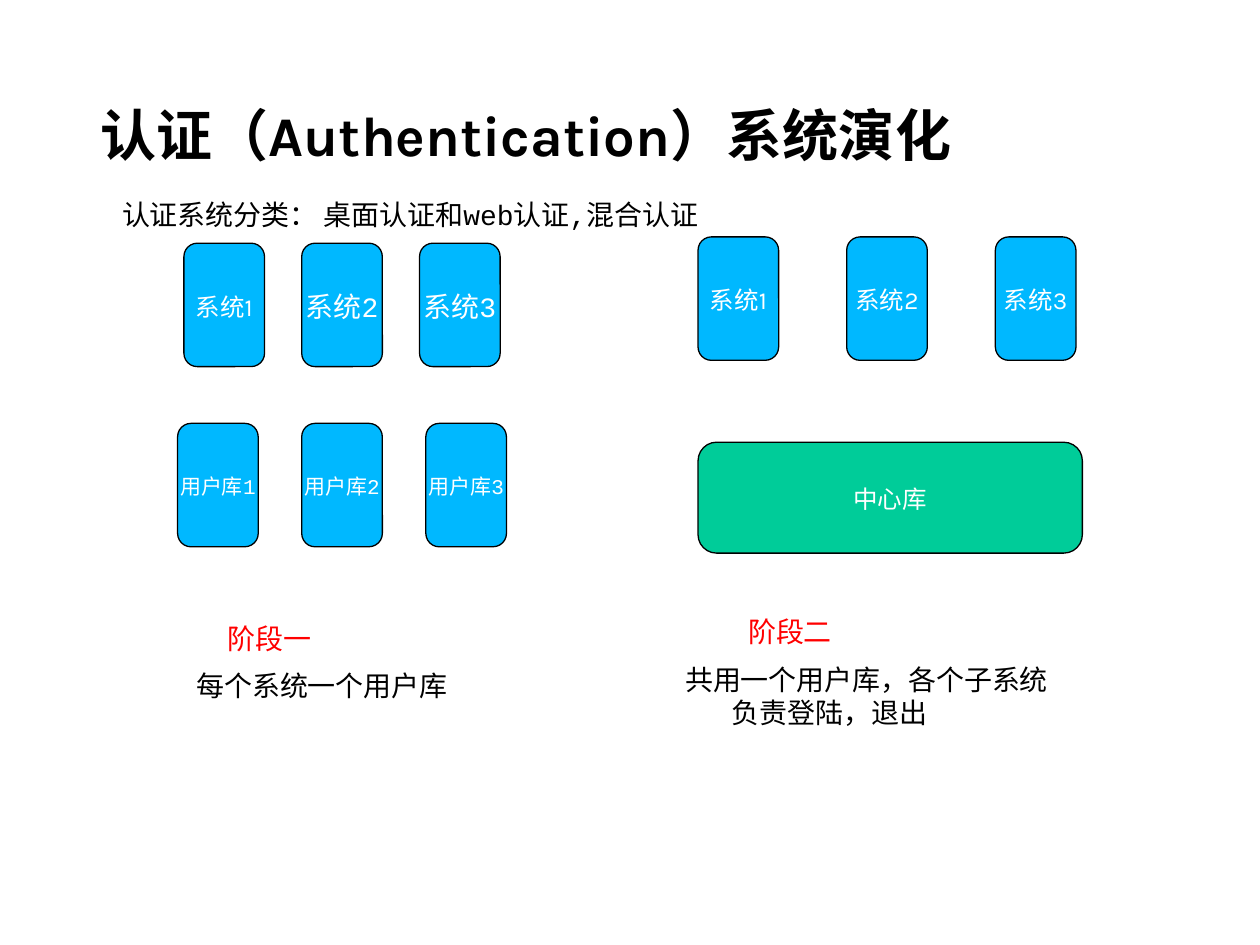
from pptx import Presentation
from pptx.dml.color import RGBColor
from pptx.enum.shapes import MSO_SHAPE
from pptx.enum.text import MSO_ANCHOR, PP_ALIGN
from pptx.util import Inches, Pt

ROUNDED = MSO_SHAPE.ROUNDED_RECTANGLE
MIDDLE = MSO_ANCHOR.MIDDLE
CENTER = PP_ALIGN.CENTER

BLACK, WHITE, RED, BLUE, GREEN = "000000", "FFFFFF", "FF0000", "00B8FF", "00CC99"
SANS, MONO = "Karla", "Courier New"
BOX_W, BOX_H = 0.64, 0.98

TITLE = "认证（Authentication）系统演化"
SUBTITLE = "认证系统分类： 桌面认证和web认证,混合认证"

# left of first box, top, step between boxes, label, (font, size) of each box
BOX_ROWS = [
    (1.41, 3.36, 0.985, "用户库", [(MONO, 12)] * 3),
    (1.46, 1.93, 0.935, "系统", [(SANS, 14), (MONO, 16), (MONO, 16)]),
    (5.54, 1.88, 1.18, "系统", [(SANS, 14)] * 3),
]
CENTRAL_STORE = ("中心库", 5.54, 3.51, 3.05, 0.88)

# left, top, width, height, heading, heading indent, description, hanging indent
STAGES = [
    (1.46, 4.88, 2.25, 0.75, "阶段一", 0.25, "每个系统一个用户库", 0),
    (5.34, 4.83, 3.17, 0.84, "阶段二", 0.5, "共用一个用户库，各个子系统负责登陆，退出", 0.37),
]


def rgb(value):
    return RGBColor.from_string(value)


def write(paragraph, text, font, size, color, bold=False):
    paragraph.text = text
    style = paragraph.runs[0].font
    style.name, style.size, style.bold = font, Pt(size), bold
    style.color.rgb = rgb(color)


def indent(paragraph, left, first_line=0):
    properties = paragraph._p.get_or_add_pPr()
    properties.set("marL", str(Inches(left)))
    properties.set("indent", str(Inches(first_line)))


def add_text_frame(slide, left, top, width, height):
    frame = slide.shapes.add_textbox(*map(Inches, (left, top, width, height))).text_frame
    frame.word_wrap = True
    return frame


def add_box(slide, label, left, top, width, height, fill, font, size):
    box = slide.shapes.add_shape(ROUNDED, *map(Inches, (left, top, width, height)))
    box.shadow.inherit = False
    box.fill.solid()
    box.fill.fore_color.rgb = rgb(fill)
    box.line.color.rgb = rgb(BLACK)
    box.line.width = Pt(0.75)
    frame = box.text_frame
    frame.word_wrap = False
    frame.vertical_anchor = MIDDLE
    caption = frame.paragraphs[0]
    write(caption, label, font, size, WHITE)
    caption.alignment = CENTER
    caption.line_spacing = 1.1


def add_stage(slide, left, top, width, height, name, name_indent, detail, hanging):
    frame = add_text_frame(slide, left, top, width, height)
    heading = frame.paragraphs[0]
    write(heading, name, MONO, 16, RED)
    indent(heading, name_indent)
    description = frame.add_paragraph()
    write(description, detail, MONO, 16, BLACK)
    indent(description, hanging, -hanging)
    description.space_before = Pt(8)


def main():
    deck = Presentation()
    deck.slide_width, deck.slide_height = Inches(10), Inches(7.5)
    slide = deck.slides.add_slide(deck.slide_layouts[6])

    title = add_text_frame(slide, 0.7, 0.75, 8.19, 0.64).paragraphs[0]
    write(title, TITLE, SANS, 32, BLACK, bold=True)
    subtitle = add_text_frame(slide, 0.87, 1.49, 7.18, 0.4).paragraphs[0]
    write(subtitle, SUBTITLE, MONO, 16, BLACK)
    subtitle.line_spacing = 1.1

    for left, top, step, label, styles in BOX_ROWS:
        for i, (font, size) in enumerate(styles):
            add_box(slide, f"{label}{i + 1}", left + i * step, top,
                    BOX_W, BOX_H, BLUE, font, size)
    add_box(slide, *CENTRAL_STORE, GREEN, SANS, 14)

    for stage in STAGES:
        add_stage(slide, *stage)

    deck.save("out.pptx")


if __name__ == "__main__":
    main()
